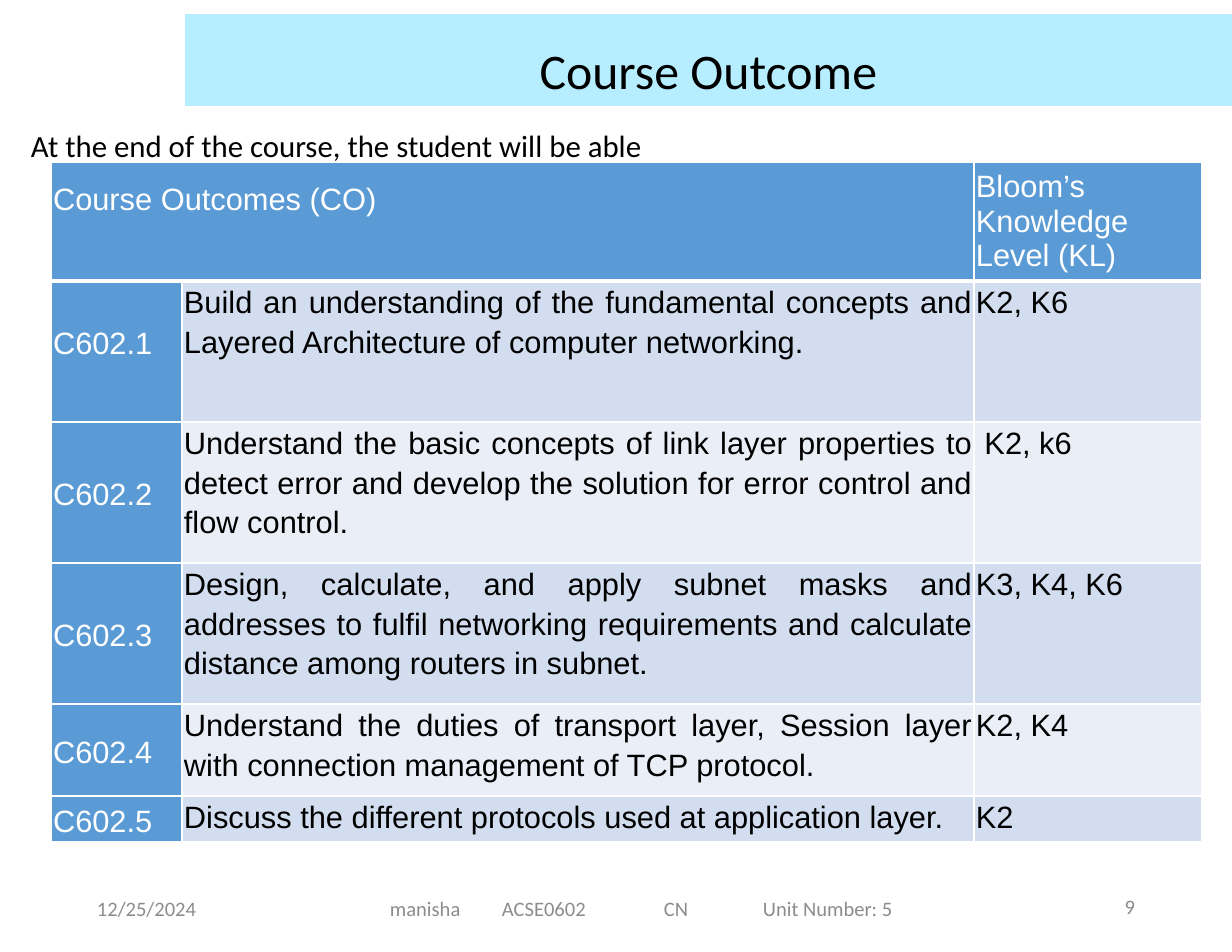
from lxml import etree
from pptx import Presentation
from pptx.dml.color import RGBColor
from pptx.enum.text import MSO_ANCHOR, MSO_AUTO_SIZE, PP_ALIGN
from pptx.oxml.ns import qn
from pptx.util import Emu, Pt

LEFT, CENTER, RIGHT, JUSTIFY = PP_ALIGN.LEFT, PP_ALIGN.CENTER, PP_ALIGN.RIGHT, PP_ALIGN.JUSTIFY
TOP, MIDDLE, BOTTOM = MSO_ANCHOR.TOP, MSO_ANCHOR.MIDDLE, MSO_ANCHOR.BOTTOM
NO_AUTOFIT = MSO_AUTO_SIZE.NONE

COLORS = {
    "banner": "B7EEFF", "header": "5B9BD5", "odd": "D2DEEF", "even": "EAEFF7",
    "white": "FFFFFF", "black": "000000", "date": "8C8C8C", "number": "898989",
}

TITLE = "Course Outcome"
INTRO = "At the end of the course, the student will be able"
HEADERS = ("Course Outcomes (CO)", "Bloom’s Knowledge Level (KL)")
OUTCOMES = [
    ("C602.1", "Build an understanding of the fundamental concepts and Layered "
     "Architecture of computer networking.", "K2, K6"),
    ("C602.2", "Understand the basic concepts of link layer properties to detect error and "
     "develop the solution for error control and flow control.", " K2, k6"),
    ("C602.3", "Design, calculate, and apply subnet masks and addresses to fulfil networking "
     "requirements and calculate distance among routers in subnet.", "K3, K4, K6"),
    ("C602.4", "Understand the duties of transport layer, Session layer with connection "
     "management of TCP protocol.", "K2, K4"),
    ("C602.5", "Discuss the different protocols used at application layer.", "K2"),
]
DATE, SLIDE_NUMBER = "12/25/2024", "9"
FOOTER = [("manisha", 76), ("ACSE0602", 188), ("CN", 350), ("Unit Number: 5", 449)]

COLUMN_WIDTHS = (131, 792, 228)
ROW_HEIGHTS = (119, 141, 141, 141, 92, 46)
TIGHT_LINE = Pt(12.7)


def px(n):
    return Emu(n * 914400 // 112)


def color(name):
    return RGBColor.from_string(COLORS[name])


def set_margins(target, left, top, right, bottom):
    target.margin_left, target.margin_top = px(left), px(top)
    target.margin_right, target.margin_bottom = px(right), px(bottom)


def style(paragraph, font, size, ink, align=LEFT, spacing=None, after=0):
    paragraph.alignment = align
    paragraph.line_spacing = spacing
    paragraph.space_after = Pt(after)
    for run in paragraph.runs:
        run.font.name, run.font.size = font, Pt(size)
        run.font.color.rgb = color(ink)


def add_label(slide, box, text, size, ink, align=LEFT, wrap=True):
    frame = slide.shapes.add_textbox(*map(px, box)).text_frame
    frame.word_wrap = wrap
    frame.text = text
    style(frame.paragraphs[0], "Calibri", size, ink, align)
    return frame


def add_footer_label(slide, box, text, ink, align=LEFT):
    frame = add_label(slide, box, text, 13.2, ink, align)
    frame.vertical_anchor = MIDDLE
    set_margins(frame, 12, 6, 12, 6)
    return frame


def add_tabs(paragraph, stops):
    tabs = etree.SubElement(paragraph._p.get_or_add_pPr(), qn("a:tabLst"))
    for stop in stops:
        etree.SubElement(tabs, qn("a:tab"), pos=str(px(stop)), algn="l")


def add_borders(cell, bottom):
    properties = cell._tc.get_or_add_tcPr()
    for side, width in (("L", 1), ("R", 1), ("T", 1), ("B", bottom)):
        line = etree.SubElement(properties, qn("a:ln" + side), w=str(Pt(width)))
        fill = etree.SubElement(line, qn("a:solidFill"))
        etree.SubElement(fill, qn("a:srgbClr"), val=COLORS["white"])


def fill_cell(cell, text, fill, ink, anchor=TOP, align=LEFT, spacing=1.15, after=10,
              top=0, bottom_border=1):
    add_borders(cell, bottom_border)
    cell.fill.solid()
    cell.fill.fore_color.rgb = color(fill)
    set_margins(cell, 2, top, 2, 0)
    cell.vertical_anchor = anchor
    cell.text = text
    style(cell.text_frame.paragraphs[0], "Arial", 19.8, ink, align, spacing, after)


def add_outcome_table(slide):
    table = slide.shapes.add_table(
        len(ROW_HEIGHTS), len(COLUMN_WIDTHS), px(51), px(162),
        px(sum(COLUMN_WIDTHS)), px(sum(ROW_HEIGHTS))).table
    table.horz_banding = False
    for column, width in zip(table.columns, COLUMN_WIDTHS):
        column.width = px(width)
    for row, height in zip(table.rows, ROW_HEIGHTS):
        row.height = px(height)

    table.cell(0, 0).merge(table.cell(0, 1))
    fill_cell(table.cell(0, 0), HEADERS[0], "header", "white",
              spacing=TIGHT_LINE, top=35, bottom_border=3)
    add_borders(table.cell(0, 1), 3)
    fill_cell(table.cell(0, 2), HEADERS[1], "header", "white", MIDDLE,
              spacing=None, after=0, bottom_border=3)

    for r, (code, outcome, level) in enumerate(OUTCOMES, 1):
        band = "odd" if r % 2 else "even"
        last = r == len(OUTCOMES)
        fill_cell(table.cell(r, 0), code, "header", "white", MIDDLE,
                  spacing=TIGHT_LINE if r == 1 else 1.15)
        fill_cell(table.cell(r, 1), outcome, band, "black", align=JUSTIFY,
                  after=6 if last else 10)
        fill_cell(table.cell(r, 2), level, band, "black", align=LEFT if last else JUSTIFY)


def main():
    deck = Presentation()
    deck.slide_width, deck.slide_height = px(1232), px(952)
    slide = deck.slides.add_slide(deck.slide_layouts[5])

    title = slide.shapes.title
    title.left, title.top, title.width, title.height = map(px, (185, 14, 1047, 92))
    title.fill.solid()
    title.fill.fore_color.rgb = color("banner")
    title.text_frame.text = TITLE
    title.text_frame.auto_size = NO_AUTOFIT
    title.text_frame.vertical_anchor = BOTTOM
    style(title.text_frame.paragraphs[0], "Calibri", 32, "black", CENTER, 0.9)

    add_label(slide, (20, 121, 633, 48), INTRO, 19.8, "black", wrap=False)
    add_outcome_table(slide)

    add_footer_label(slide, (85, 883, 139, 50), DATE, "date")
    add_footer_label(slide, (1071, 881, 76, 50), SLIDE_NUMBER, "number", RIGHT)
    course = add_footer_label(slide, (302, 884, 678, 49),
                              "".join("\t" + part for part, _ in FOOTER), "date")
    add_tabs(course.paragraphs[0], [stop for _, stop in FOOTER])

    deck.save("out.pptx")


if __name__ == "__main__":
    main()
